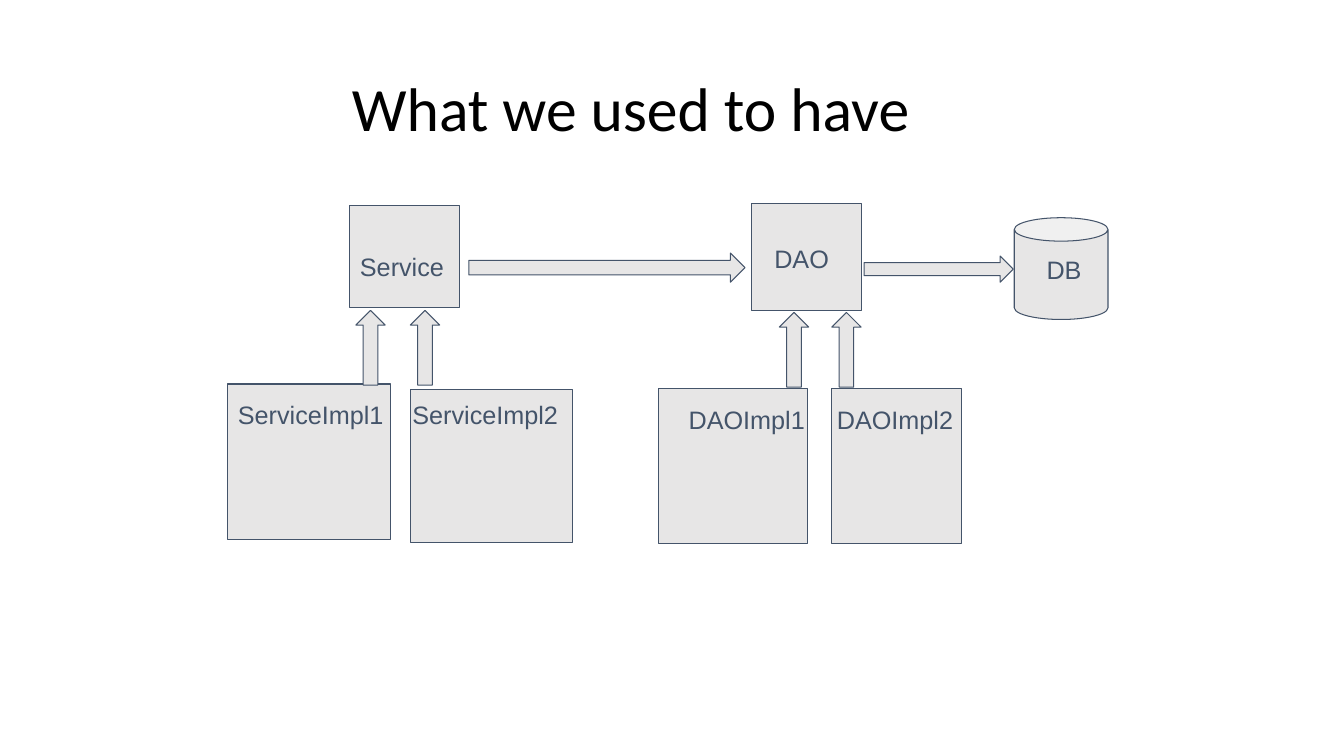
from pptx import Presentation
from pptx.dml.color import RGBColor
from pptx.enum.shapes import MSO_SHAPE
from pptx.enum.text import MSO_ANCHOR
from pptx.util import Inches, Pt

GREY = RGBColor(0xE7, 0xE6, 0xE6)
SLATE = RGBColor(0x44, 0x54, 0x6A)
BLACK = RGBColor(0, 0, 0)

FRAME = {
    "word_wrap": True,
    "vertical_anchor": MSO_ANCHOR.MIDDLE,
    "margin_left": 0,
    "margin_right": 0,
    "margin_top": 0,
    "margin_bottom": 0,
}
LABEL = {"name": "Arial", "size": Pt(18)}
TITLE = {"name": "Calibri", "size": Pt(44)}

BOXES = [
    (8.25, 3.85, 1.29, 1.54),
    (6.53, 3.85, 1.48, 1.54),
    (7.45, 2.02, 1.09, 1.06),
    (4.07, 3.86, 1.61, 1.52),
    (2.26, 3.81, 1.61, 1.54),
    (3.47, 2.04, 1.09, 1.01),
]
LABELS = [
    ("Service", 3.57, 2.64, 0.95),
    ("ServiceImpl1", 2.36, 4.11, 1.5),
    ("ServiceImpl2", 4.09, 4.11, 1.55),
    ("DAO", 7.68, 2.56, 0.6),
    ("DAOImpl1", 6.83, 4.16, 1.2),
    ("DAOImpl2", 8.3, 4.16, 1.22),
    ("DB", 10.38, 2.67, 0.5),
]
RISERS = [(3.53, 3.08), (4.07, 3.08), (7.73, 3.1), (8.25, 3.1)]
FLOWS = [(4.65, 2.51, 2.74, 0.29), (8.57, 2.54, 1.48, 0.26)]


def format_all(target, values):
    for name, value in values.items():
        setattr(target, name, value)


def add_block(slide, kind, area):
    block = slide.shapes.add_shape(kind, *map(Inches, area))
    block.shadow.inherit = False
    block.fill.solid()
    block.fill.fore_color.rgb = GREY
    block.line.color.rgb = SLATE
    block.line.width = Pt(0.75)


def add_text(slide, text, area, font, color):
    frame = slide.shapes.add_textbox(*map(Inches, area)).text_frame
    format_all(frame, FRAME)
    run = frame.paragraphs[0].add_run()
    run.text = text
    format_all(run.font, font)
    run.font.color.rgb = color


def add_label(slide, text, left, middle, width):
    height = 0.4
    area = (left, middle - height / 2, width, height)
    add_text(slide, text, area, LABEL, SLATE)


def main():
    deck = Presentation()
    format_all(deck, {"slide_width": Inches(13.33), "slide_height": Inches(7.5)})
    slide = deck.slides.add_slide(deck.slide_layouts[6])
    add_block(slide, MSO_SHAPE.CAN, (10.06, 2.16, 0.93, 1.01))
    for area in BOXES:
        add_block(slide, MSO_SHAPE.RECTANGLE, area)
    for left, top in RISERS:
        add_block(slide, MSO_SHAPE.UP_ARROW, (left, top, 0.29, 0.74))
    for area in FLOWS:
        add_block(slide, MSO_SHAPE.RIGHT_ARROW, area)
    for label in LABELS:
        add_label(slide, *label)
    add_text(slide, "What we used to have", (3.49, 0.33, 7.08, 1.45), TITLE, BLACK)
    deck.save("out.pptx")


main()
